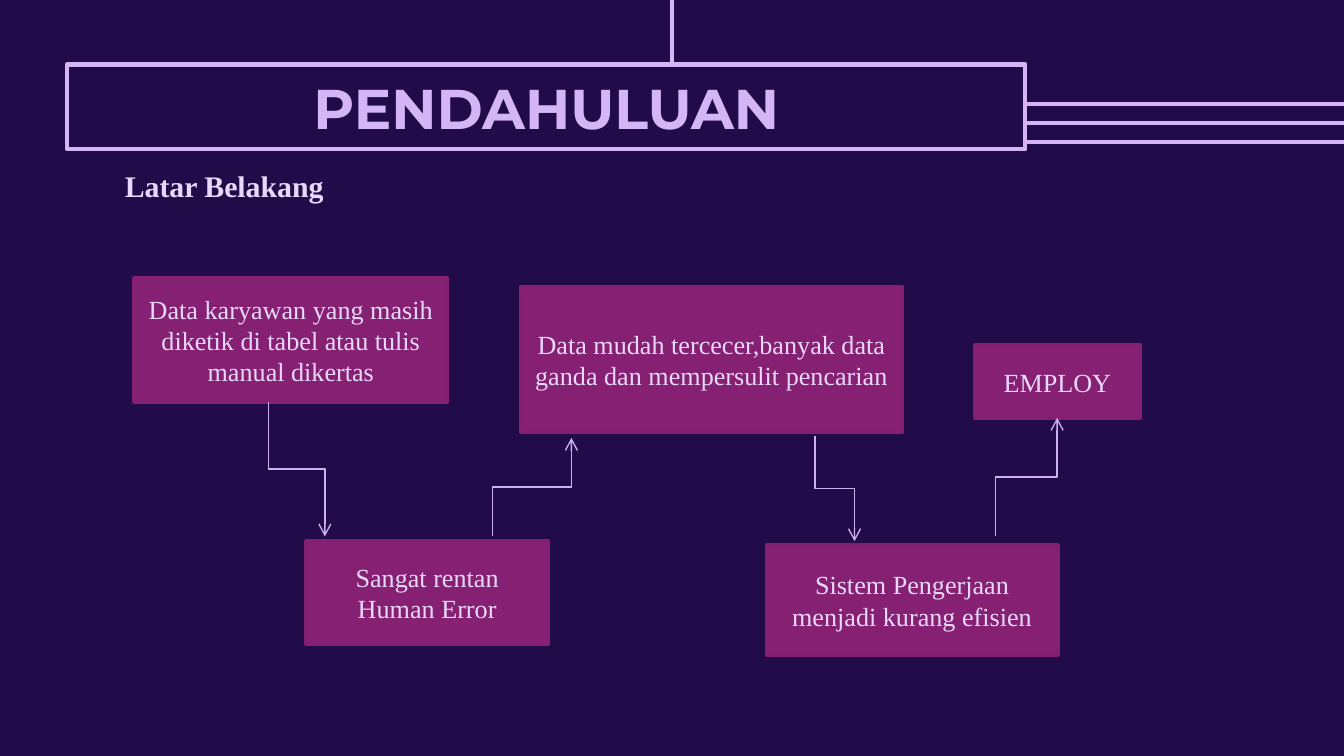
from lxml import etree
from pptx import Presentation
from pptx.dml.color import RGBColor
from pptx.enum.shapes import MSO_CONNECTOR as Connector, MSO_SHAPE as Shape
from pptx.enum.text import MSO_ANCHOR as Anchor, MSO_AUTO_SIZE as AutoSize, PP_ALIGN as Align
from pptx.oxml.ns import qn
from pptx.util import Cm, Pt

# Content: lengths in centimetres
WIDTH, HEIGHT = 25.4, 14.29
COLORS = {
    "background": "220B49",
    "accent": "D4B6F6",
    "text": "E8D8FA",
    "box": "862073",
    "box_line": "841F72",
    "arrow": "CFB0F2",
}
BODY_FONT, TITLE_FONT = "Times New Roman", "Montserrat"

TITLE = "PENDAHULUAN"
TITLE_BOX = (1.27, 1.22, 18.11, 1.6)
SUBTITLE = "Latar Belakang"
SUBTITLE_BOX = (2.11, 2.92, 22.83, 1.2)

# Text, (left, top, width, height)
STEPS = [
    ("Data karyawan yang masih diketik di tabel atau tulis manual dikertas", (2.54, 5.26, 5.92, 2.34)),
    ("Sangat rentan Human Error", (5.79, 10.23, 4.57, 1.95)),
    ("Data mudah tercecer,banyak data ganda dan mempersulit pencarian", (9.84, 5.42, 7.22, 2.75)),
    ("Sistem Pengerjaan menjadi kurang efisien", (14.49, 10.3, 5.5, 2.08)),
    ("EMPLOY", (18.43, 6.52, 3.11, 1.39)),
]

# Start and end of each arrow between successive steps
ARROWS = [
    ((5.08, 7.6), (6.14, 10.14)),
    ((9.31, 10.14), (10.8, 8.28)),
    ((15.4, 8.24), (16.15, 10.23)),
    ((18.82, 10.14), (19.98, 7.9)),
]


def color(name):
    return RGBColor.from_string(COLORS[name])


def write(text_frame, text, font_name, size, color_name, bold=False, align=Align.CENTER):
    text_frame.word_wrap = True
    text_frame.auto_size = AutoSize.NONE
    text_frame.text = text
    paragraph = text_frame.paragraphs[0]
    paragraph.alignment = align
    font = paragraph.runs[0].font
    font.name, font.size, font.bold = font_name, Pt(size), bold
    font.color.rgb = color(color_name)


def set_insets(text_frame, inset):
    text_frame.margin_left = text_frame.margin_right = Cm(inset)
    text_frame.margin_top = text_frame.margin_bottom = Cm(inset)


def paint(shape, fill, line, width):
    shape.fill.solid()
    shape.fill.fore_color.rgb = color(fill)
    shape.line.color.rgb = color(line)
    shape.line.width = Pt(width)


def add_line(slide, kind, start, end, color_name, width):
    line = slide.shapes.add_connector(kind, *map(Cm, (*start, *end)))
    line.line.color.rgb = color(color_name)
    line.line.width = Pt(width)
    etree.SubElement(line._element.spPr, qn("a:effectLst"))
    return line


def add_arrow(slide, start, end):
    """Elbow that leaves and arrives vertically: a quarter-turned connector."""
    (x1, y1), (x2, y2) = start, end
    center_x, center_y = (x1 + x2) / 2, (y1 + y2) / 2
    half_length = abs(y2 - y1) / 2
    goes_down = y2 > y1
    half_shift = (x2 - x1) / 2 * (1 if goes_down else -1)
    arrow = add_line(
        slide, Connector.ELBOW,
        (center_x + half_length, center_y - half_shift),
        (center_x - half_length, center_y + half_shift),
        "arrow", 0.75,
    )
    arrow.rotation = 270 if goes_down else 90
    etree.SubElement(arrow.line._get_or_add_ln(), qn("a:tailEnd"), type="arrow")


def main():
    presentation = Presentation()
    presentation.slide_width, presentation.slide_height = Cm(WIDTH), Cm(HEIGHT)
    slide = presentation.slides.add_slide(presentation.slide_layouts[5])
    slide.background.fill.solid()
    slide.background.fill.fore_color.rgb = color("background")

    # Title frame
    title = slide.shapes.title
    left, top, width, height = TITLE_BOX
    title.left, title.top, title.width, title.height = map(Cm, TITLE_BOX)
    paint(title, "background", "accent", 2.25)
    set_insets(title.text_frame, 0.25)
    title.text_frame.vertical_anchor = Anchor.MIDDLE
    write(title.text_frame, TITLE, TITLE_FONT, 30, "accent", bold=True)

    # Decorative lines from the frame to the slide edges
    add_line(slide, Connector.STRAIGHT, (WIDTH / 2, 0), (WIDTH / 2, top), "accent", 2.25)
    for index in range(3):
        y = 1.97 + 0.36 * index
        add_line(slide, Connector.STRAIGHT, (left + width, y), (WIDTH, y), "accent", 2.25)

    # Subtitle
    subtitle = slide.shapes.add_textbox(*map(Cm, SUBTITLE_BOX))
    set_insets(subtitle.text_frame, 0.25)
    write(subtitle.text_frame, SUBTITLE, BODY_FONT, 16, "text", bold=True, align=Align.LEFT)

    # Flow steps
    for text, box in STEPS:
        step = slide.shapes.add_shape(Shape.RECTANGLE, *map(Cm, box))
        step.shadow.inherit = False
        paint(step, "box", "box_line", 2)
        step.text_frame.vertical_anchor = Anchor.MIDDLE
        write(step.text_frame, text, BODY_FONT, 14, "text")

    # Flow arrows
    for start, end in ARROWS:
        add_arrow(slide, start, end)

    presentation.save("out.pptx")


if __name__ == "__main__":
    main()
